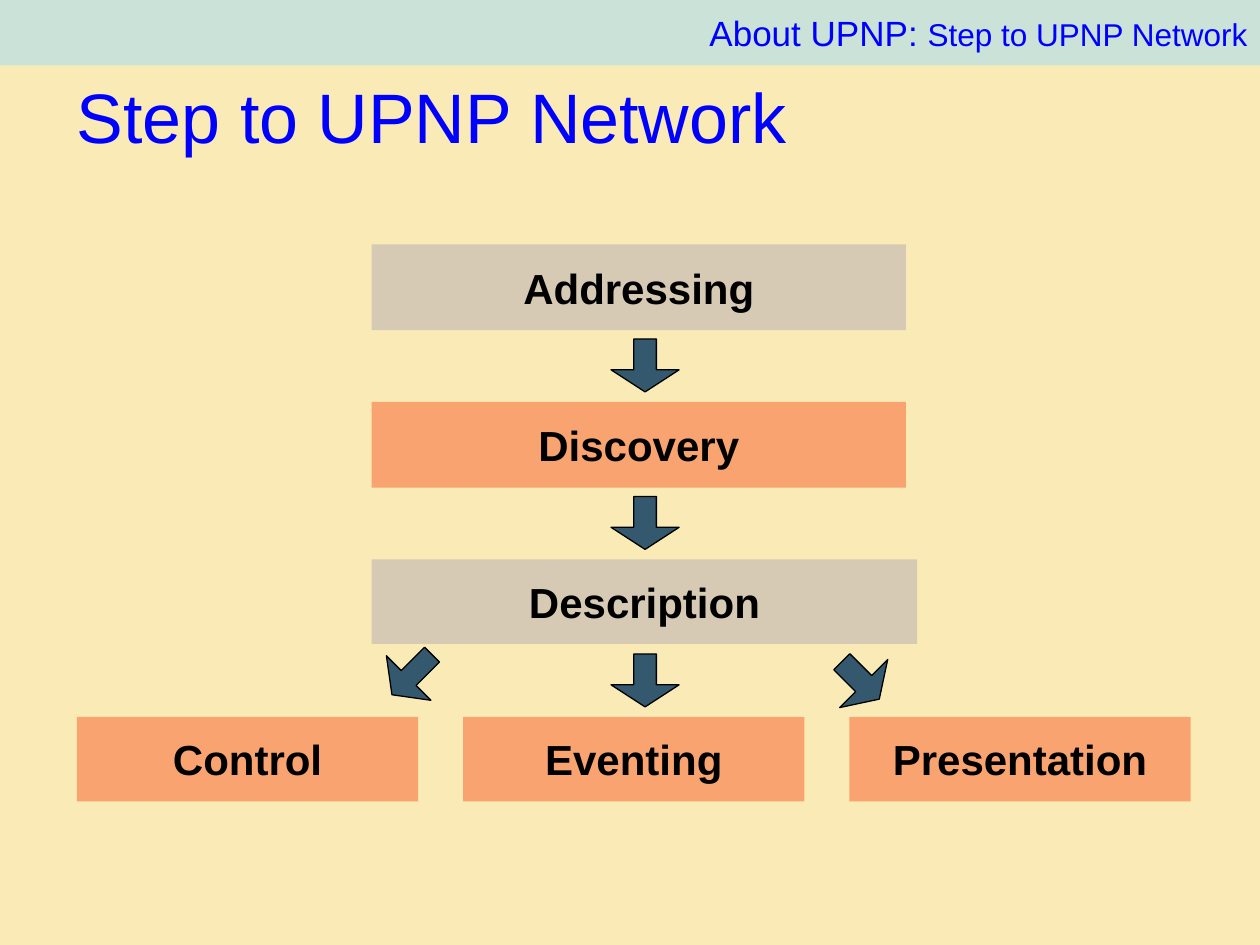
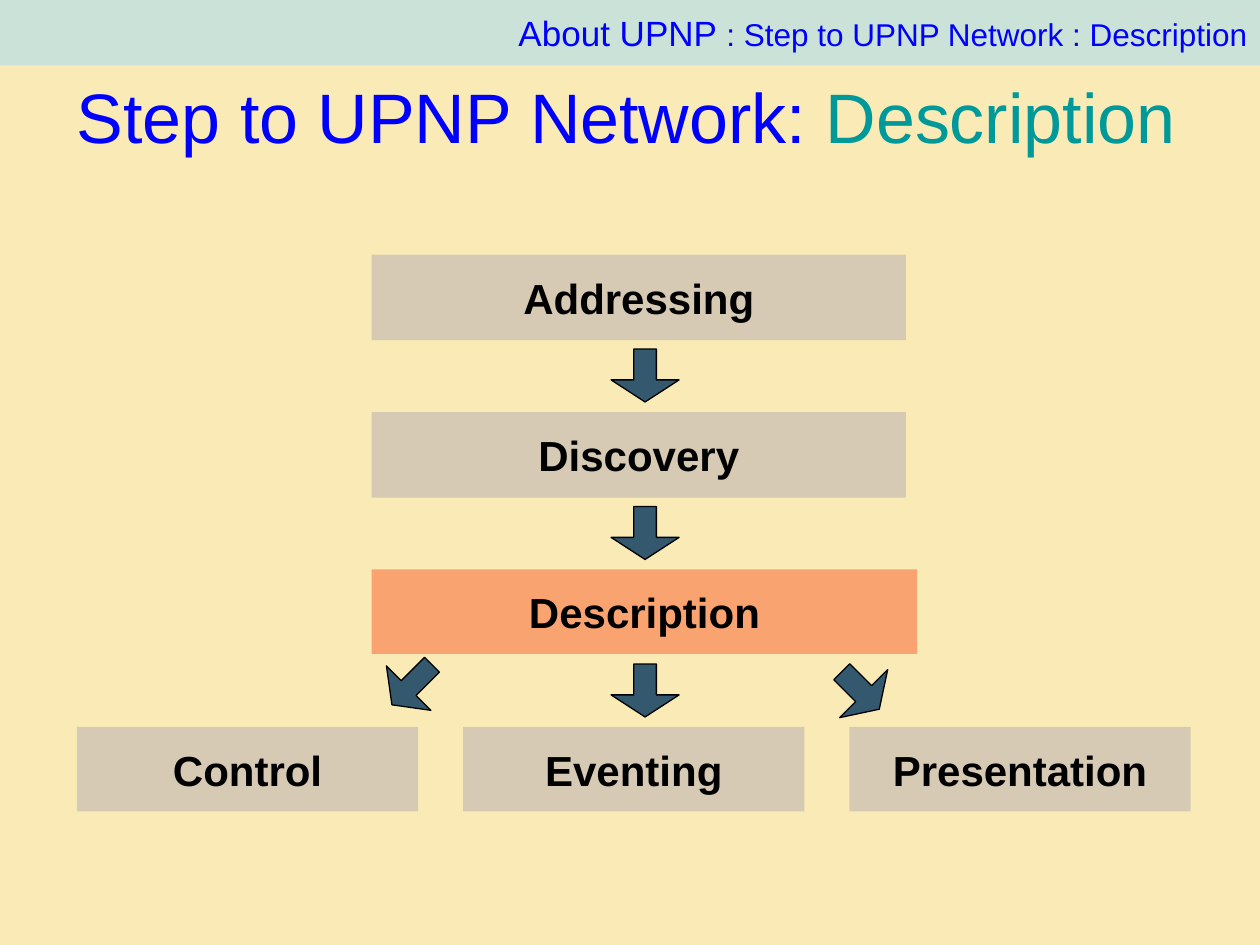
import pptx
import pptx.util
import pptx.dml.color
import pptx.enum.shapes
import pptx.enum.text
import pptx.oxml.ns
from lxml import etree

Inches = pptx.util.Inches
Pt = pptx.util.Pt
RGB = pptx.dml.color.RGBColor
SHAPE = pptx.enum.shapes.MSO_SHAPE
ALIGN = pptx.enum.text.PP_ALIGN
MIDDLE = pptx.enum.text.MSO_ANCHOR.MIDDLE
FIXED = pptx.enum.text.MSO_AUTO_SIZE.NONE

CREAM = RGB(0xFA, 0xEB, 0xB6)
MIST = RGB(0xBB, 0xE0, 0xE3)
BLUE = RGB(0x00, 0x00, 0xFF)
TEAL = RGB(0x00, 0x99, 0x99)
SAND = RGB(0xD6, 0xCA, 0xB4)
CORAL = RGB(0xF9, 0xA4, 0x70)
SLATE = RGB(0x34, 0x58, 0x6D)
BLACK = RGB(0, 0, 0)

WIDE = 10
STEP = 1.25
TALL = 0.67
STACK = (("Addressing", 4.24, 0.68), ("Discovery", 4.24, 0.68), ("Description", 4.33, TALL))
FINAL = ("Control", "Eventing", "Presentation")

SLIDES = (
    {
        "title": (("Step to UPNP Network", BLUE),),
        "trail": (("About UPNP: ", 20), ("Step to UPNP Network", 18)),
        "top": 1.94,
        "lit": ("Discovery",) + FINAL,
    },
    {
        "title": (("Step to UPNP Network: ", BLUE), ("Description", TEAL)),
        "trail": (("About UPNP ", 20), (": Step to UPNP Network : Description", 18)),
        "top": 2.02,
        "lit": ("Description",),
    },
)


def assign(item, values):
    for name, value in values.items():
        setattr(item, name, value)


def write(shape, runs, align):
    frame = shape.text_frame
    assign(frame, {"word_wrap": True, "auto_size": FIXED, "vertical_anchor": MIDDLE})
    para = frame.paragraphs[0]
    para.alignment = align
    for text, size, color, bold in runs:
        run = para.add_run()
        run.text = text
        assign(run.font, {"name": "Arial", "size": Pt(size), "bold": bold})
        run.font.color.rgb = color


def draw(slide, kind, place, fill):
    shape = slide.shapes.add_shape(kind, *map(Inches, place))
    shape.shadow.inherit = False
    shape.fill.solid()
    shape.fill.fore_color.rgb = fill
    shape.line.fill.background()
    return shape


def add_title(slide, parts, box):
    title = slide.shapes.title
    names = ("left", "top", "width", "height")
    assign(title, dict(zip(names, map(Inches, box))))
    write(title, [(text, 40, color, False) for text, color in parts], ALIGN.LEFT)


def add_band(slide, parts, box):
    band = draw(slide, SHAPE.RECTANGLE, box, MIST)
    tint = band.fill._xPr.find(".//" + pptx.oxml.ns.qn("a:srgbClr"))
    etree.SubElement(tint, pptx.oxml.ns.qn("a:alpha"), val="76000")
    write(band, [(text, size, BLUE, False) for text, size in parts], ALIGN.RIGHT)


def add_box(slide, label, place, lit):
    box = draw(slide, SHAPE.RECTANGLE, place, CORAL if label in lit else SAND)
    write(box, [(label, 24, BLACK, True)], ALIGN.CENTER)


def add_arrow(slide, place, turn=0):
    arrow = draw(slide, SHAPE.DOWN_ARROW, place, SLATE)
    arrow.adjustments[0] = 0.333
    arrow.adjustments[1] = 0.417
    arrow.rotation = turn
    arrow.line.color.rgb = BLACK
    arrow.line.width = Pt(0.75)


def add_flow(slide, lit, left, top):
    for row, (label, width, height) in enumerate(STACK):
        level = top + row * STEP
        add_box(slide, label, (left + 2.34, level, width, height), lit)
        add_arrow(slide, (left + 4.24, level + 0.75, 0.54, 0.42))
    base = top + len(STACK) * STEP
    for col, label in enumerate(FINAL):
        add_box(slide, label, (left + col * 3.065, base, 2.71, TALL), lit)
    add_arrow(slide, (left + 5.95, base - 0.5, 0.54, 0.42), 315)
    add_arrow(slide, (left + 2.41, base - 0.56, 0.5, 0.45), 45)


def add_slide(deck, data):
    slide = deck.slides.add_slide(deck.slide_layouts[5])
    add_title(slide, data["title"], (0.51, 0.68, 9, 0.47))
    add_band(slide, data["trail"], (0, 0, WIDE, 0.52))
    add_flow(slide, data["lit"], 0.61, data["top"])


def main():
    deck = pptx.Presentation()
    assign(deck, {"slide_width": Inches(WIDE), "slide_height": Inches(7.5)})
    back = deck.slide_master.background.fill
    back.solid()
    back.fore_color.rgb = CREAM
    for data in SLIDES:
        add_slide(deck, data)
    deck.save("out.pptx")


if __name__ == "__main__":
    main()
